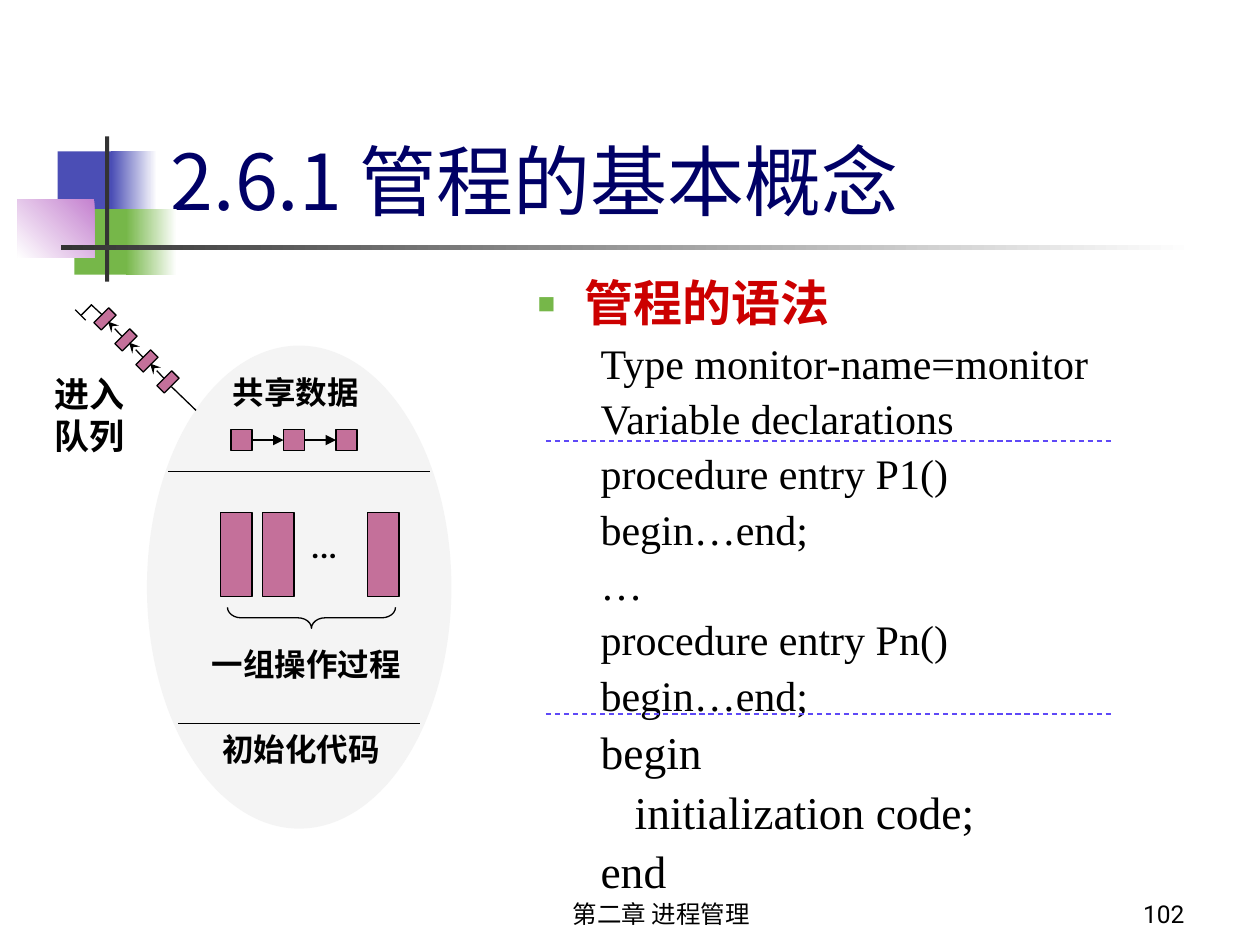
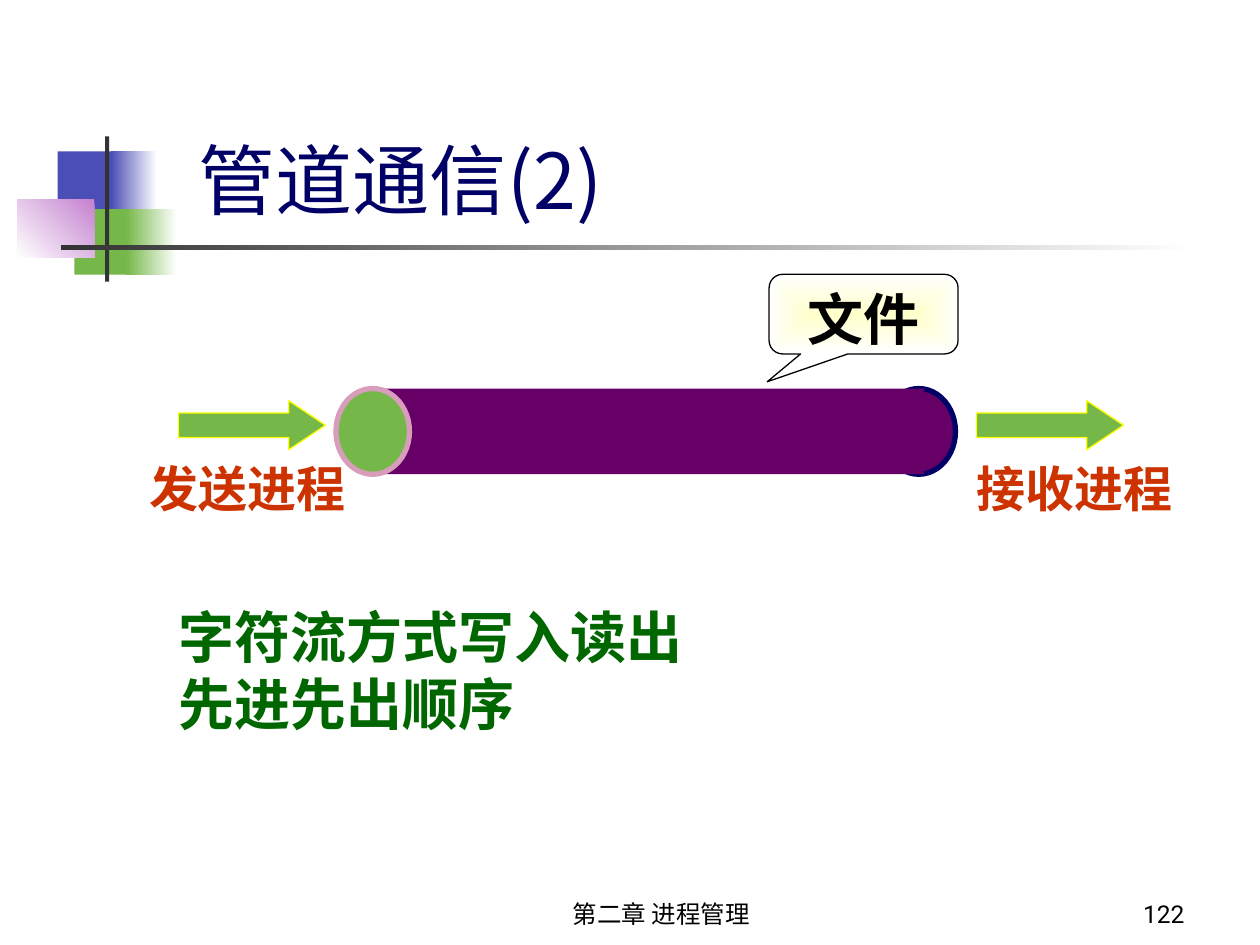
from lxml import etree
from pptx import Presentation
from pptx.dml.color import RGBColor
from pptx.enum.dml import MSO_LINE
from pptx.enum.shapes import MSO_CONNECTOR, MSO_SHAPE
from pptx.enum.text import MSO_ANCHOR, MSO_AUTO_SIZE, PP_ALIGN
from pptx.oxml.ns import qn
from pptx.util import Pt

# ---- Content ----
CHAPTER = "第二章 进程管理"

MONITOR = {
    "title": "2.6.1 管程的基本概念",
    "page": "102",
    "heading": "管程的语法",
    "code": ["Type monitor-name=monitor", "Variable declarations",
             "procedure entry P1()", "begin…end;", "…",
             "procedure entry Pn()", "begin…end;"],
    "init_code": ["begin", "   initialization code;", "end"],
    "sections": [("共享数据", (126, 209.5, 90, 29)),
                 ("一组操作过程", (114, 365, 126, 29)),
                 ("初始化代码", (120, 413.5, 114, 29))],
    "queue": "进入队列",
}
PIPE = {
    "title": "管道通信(2)",
    "page": "122",
    "file": "文件",
    "processes": [("发送进程", 78.5, 102), ("接收进程", 551, 558)],
    "rules": ["字符流方式写入读出", "先进先出顺序"],
}

# ---- Shared look ----
COLORS = {
    "white": "FFFFFF", "black": "000000", "title": "000066", "blue": "4B4EB5",
    "green": "76B749", "lilac": "C481CF", "bar": "333333", "heading": "CC0000",
    "monitor": "EAEAEA", "item": "C4709A", "divider": "5E49F7",
    "pipe": "660066", "mouth": "D79DBA", "process": "CC3300",
    "rules": "006600", "arrow_edge": "FFFF00", "callout": "FFFFCC",
}
CJK = "Noto Sans CJK SC"
TITLE = {"name": CJK, "size": Pt(44), "bold": False, "color": "title"}
HEADING = {"name": CJK, "size": Pt(28), "bold": True, "color": "heading"}
CODE = {"name": "Times New Roman", "size": Pt(24), "bold": False, "color": "black"}
INIT_CODE = {**CODE, "size": Pt(26)}
LABEL = {"name": "Roboto", "size": Pt(18), "bold": True, "color": "black"}
QUEUE = {**LABEL, "size": Pt(20)}
ELLIPSIS = {**LABEL, "size": Pt(24), "bold": False}
FOOTER = {**LABEL, "size": Pt(14), "bold": False}
PROCESS = {"name": "Times New Roman", "size": Pt(28), "bold": True, "color": "process"}
RULES = {**PROCESS, "size": Pt(32), "color": "rules"}
FILE = {**HEADING, "size": Pt(32), "color": "black"}

# Box, then one colour or (start, end, angle)
BANDS = [
    ((33, 86.5, 34.5, 37.5), "blue"),
    ((63.5, 86.5, 26, 37.5), ("white", "blue", 180)),
    ((42.5, 119.5, 33, 37.5), "green"),
    ((72, 119.5, 29, 37.5), ("white", "green", 180)),
    ((10, 113.75, 44, 33.5), ("lilac", "white", 225)),
    ((60, 78, 2.4, 83), "bar"),
    ((34.8, 140.2, 648, 2.4), ("white", "bar", 180)),
]


def rgb(color):
    return RGBColor.from_string(COLORS[color])


def points(box):
    return [Pt(value) for value in box]


def add_xml(parent, tag, **attributes):
    return etree.SubElement(parent, qn(tag), attributes)


def style_font(paragraph, style):
    """Format every run of a paragraph, including its East Asian font."""
    for run in paragraph.runs:
        for key, value in style.items():
            if key == "color":
                run.font.color.rgb = rgb(value)
            else:
                setattr(run.font, key, value)
        add_xml(run.font._element, "a:ea", typeface=CJK)


def write(frame, lines, style, align=PP_ALIGN.LEFT, anchor=MSO_ANCHOR.TOP, wrap=True):
    frame.text = "\n".join(lines)
    layout = {"word_wrap": wrap, "vertical_anchor": anchor,
              "auto_size": MSO_AUTO_SIZE.NONE}
    for key, value in layout.items():
        setattr(frame, key, value)
    for paragraph in frame.paragraphs:
        paragraph.alignment = align
        style_font(paragraph, style)


def add_label(slide, box, lines, style, **layout):
    label = slide.shapes.add_textbox(*points(box))
    write(label.text_frame, lines, style, **layout)


def add_part(slide, kind, box, fill, edge=None, width=0.75, turn=0, adjust=()):
    part = slide.shapes.add_shape(kind, *points(box))
    part.shadow.inherit = False
    part.rotation = turn
    for index, value in enumerate(adjust):
        part.adjustments[index] = value
    if fill is None:
        part.fill.background()
    elif isinstance(fill, tuple):
        part.fill.gradient()
        part.fill.gradient_angle = fill[2]
        for stop, color in zip(part.fill.gradient_stops, fill):
            stop.color.rgb = rgb(color)
    else:
        part.fill.solid()
        part.fill.fore_color.rgb = rgb(fill)
    if edge:
        part.line.color.rgb = rgb(edge)
        part.line.width = Pt(width)
    else:
        part.line.fill.background()
    return part


def add_line(slide, ends, color="black", dash=None, arrow=None):
    line = slide.shapes.add_connector(MSO_CONNECTOR.STRAIGHT, *points(ends))
    line.line.color.rgb = rgb(color)
    line.line.width = Pt(0.75)
    if dash:
        line.line.dash_style = dash
    if arrow:
        add_xml(line.line._get_or_add_ln(), "a:tailEnd", type=arrow)
    add_xml(line._element.spPr, "a:effectLst")
    return line


def place(placeholder, box):
    for key, value in zip(("left", "top", "width", "height"), points(box)):
        setattr(placeholder, key, value)


def start_slide(deck, layout, content, title_box):
    """Add a slide with its title, corner bands and footer."""
    slide = deck.slides.add_slide(deck.slide_layouts[layout])
    place(slide.shapes.title, title_box)
    write(slide.shapes.title.text_frame, [content["title"]], TITLE,
          anchor=MSO_ANCHOR.BOTTOM)
    for box, fill in BANDS:
        add_part(slide, MSO_SHAPE.RECTANGLE, box, fill)
    add_label(slide, (264, 498, 228, 36), [CHAPTER], FOOTER,
              align=PP_ALIGN.CENTER, anchor=MSO_ANCHOR.BOTTOM)
    add_label(slide, (534, 498, 150, 36), [content["page"]], FOOTER,
              align=PP_ALIGN.RIGHT, anchor=MSO_ANCHOR.BOTTOM)
    return slide


def write_syntax(body):
    """Fill the body with a bulleted heading and the code below it."""
    place(body, (300, 156, 342, 354))
    rows = [(MONITOR["heading"], HEADING)]
    rows += [(line, CODE) for line in MONITOR["code"]]
    rows += [(line, INIT_CODE) for line in MONITOR["init_code"]]
    write(body.text_frame, [line for line, _ in rows], {})
    for paragraph, (_, style) in zip(body.text_frame.paragraphs, rows):
        is_heading = style is HEADING
        paragraph.level = 0 if is_heading else 1
        paragraph.space_before = Pt(0 if is_heading else 2.8)
        paragraph.line_spacing = 0.9 if is_heading else 1.0
        properties = paragraph._p.get_or_add_pPr()
        margin, hang = (27, 27) if is_heading else (58.5, 22.5)
        properties.set("marL", str(Pt(margin)))
        properties.set("indent", str(-Pt(hang)))
        if is_heading:
            bullet_color = add_xml(properties, "a:buClr")
            add_xml(bullet_color, "a:srgbClr", val=COLORS["green"])
            add_xml(properties, "a:buSzPct", val="60000")
            add_xml(properties, "a:buChar", char="■")
        else:
            add_xml(properties, "a:buNone")
        style_font(paragraph, style)


def build_monitor(deck):
    slide = start_slide(deck, 1, MONITOR, (90.5, 49, 613.5, 83.5))
    write_syntax(slide.placeholders[1])

    # Monitor body and its section dividers
    monitor = add_part(slide, MSO_SHAPE.OVAL, (84, 197.5, 174, 276), "monitor")
    tint = monitor._element.spPr.find(qn("a:solidFill"))[0]
    add_xml(tint, "a:alpha", val="50000")
    add_line(slide, (96, 269.5, 246, 269.5))
    add_line(slide, (102, 413.5, 240, 413.5))
    for text, box in MONITOR["sections"]:
        add_label(slide, box, [text], LABEL)

    # Shared data: a linked list
    items = [add_part(slide, MSO_SHAPE.RECTANGLE, (132 + 30 * i, 245.5, 12, 12),
                      "item", "black") for i in range(3)]
    for item, following in zip(items, items[1:]):
        link = add_line(slide, (0, 0, 0, 0), arrow="triangle")
        link.begin_connect(item, 3)
        link.end_connect(following, 1)

    # Group of procedures
    for left in (126, 150, 210):
        add_part(slide, MSO_SHAPE.RECTANGLE, (left, 293, 18, 48), "item", "black")
    add_label(slide, (170, 291.5, 30, 36), ["…"], ELLIPSIS)
    add_part(slide, MSO_SHAPE.LEFT_BRACE, (172, 305, 12, 96), None, "black",
             turn=270, adjust=(0.65, 0.5))

    # Entry queue, one diagonal step per waiting process
    step = 12
    for i in range(4):
        add_part(slide, MSO_SHAPE.RECTANGLE,
                 (57 + step * i, 176.25 + step * i, 6, 12), "item", "black", turn=45)
    for i in range(3):
        x, y = 69.75 + step * i, 192.25 + step * i
        add_line(slide, (x, y, x - 8, y - 8.5), arrow="stealth")
    for ends in [(112, 234.5, 98, 221), (58.5, 180, 52, 174),
                 (52.5, 174, 46.5, 180), (43, 177, 49, 183)]:
        add_line(slide, ends)
    add_label(slide, (24, 209.5, 60, 55.5), [MONITOR["queue"]], QUEUE)

    # Dashed dividers between parts of the syntax
    for y in (252, 408):
        add_line(slide, (312, y, 636, y), "divider", MSO_LINE.DASH)


def build_pipe(deck):
    slide = start_slide(deck, 5, PIPE, (106.5, 78.5, 271, 53.5))

    # Pipe: far end, barrel, mouth
    top, height = 222, 49
    add_part(slide, MSO_SHAPE.OVAL, (504, top, 42, height), "pipe", "title", 3)
    add_part(slide, MSO_SHAPE.RECTANGLE, (216, top, 312, height), "pipe")
    add_part(slide, MSO_SHAPE.OVAL, (192, top, 42, height), "green", "mouth", 3)

    # Sending and receiving processes
    for text, label_left, arrow_left in PIPE["processes"]:
        add_label(slide, (label_left, 258.5, 126, 41), [text], PROCESS, wrap=False)
        add_part(slide, MSO_SHAPE.RIGHT_ARROW, (arrow_left, 229, 84, 28),
                 "green", "arrow_edge", adjust=(0.5, 0.75))
    add_label(slide, (95, 340.5, 302.5, 84), PIPE["rules"], RULES, wrap=False)

    # Callout with a gradient spreading from its centre
    callout = add_part(slide, MSO_SHAPE.ROUNDED_RECTANGULAR_CALLOUT,
                       (439.5, 156.75, 108, 45.5), ("callout", "white", 0), "black",
                       adjust=(-0.51, 0.85, 0.17))
    gradient = callout._element.spPr.find(qn("a:gradFill"))
    gradient.remove(gradient.find(qn("a:lin")))
    spread = add_xml(gradient, "a:path", path="rect")
    add_xml(spread, "a:fillToRect", **dict.fromkeys("ltrb", "50000"))
    write(callout.text_frame, [PIPE["file"]], FILE, align=PP_ALIGN.CENTER)


def main():
    deck = Presentation()
    deck.slide_width, deck.slide_height = Pt(720), Pt(540)
    build_monitor(deck)
    build_pipe(deck)
    deck.save("out.pptx")


if __name__ == "__main__":
    main()
